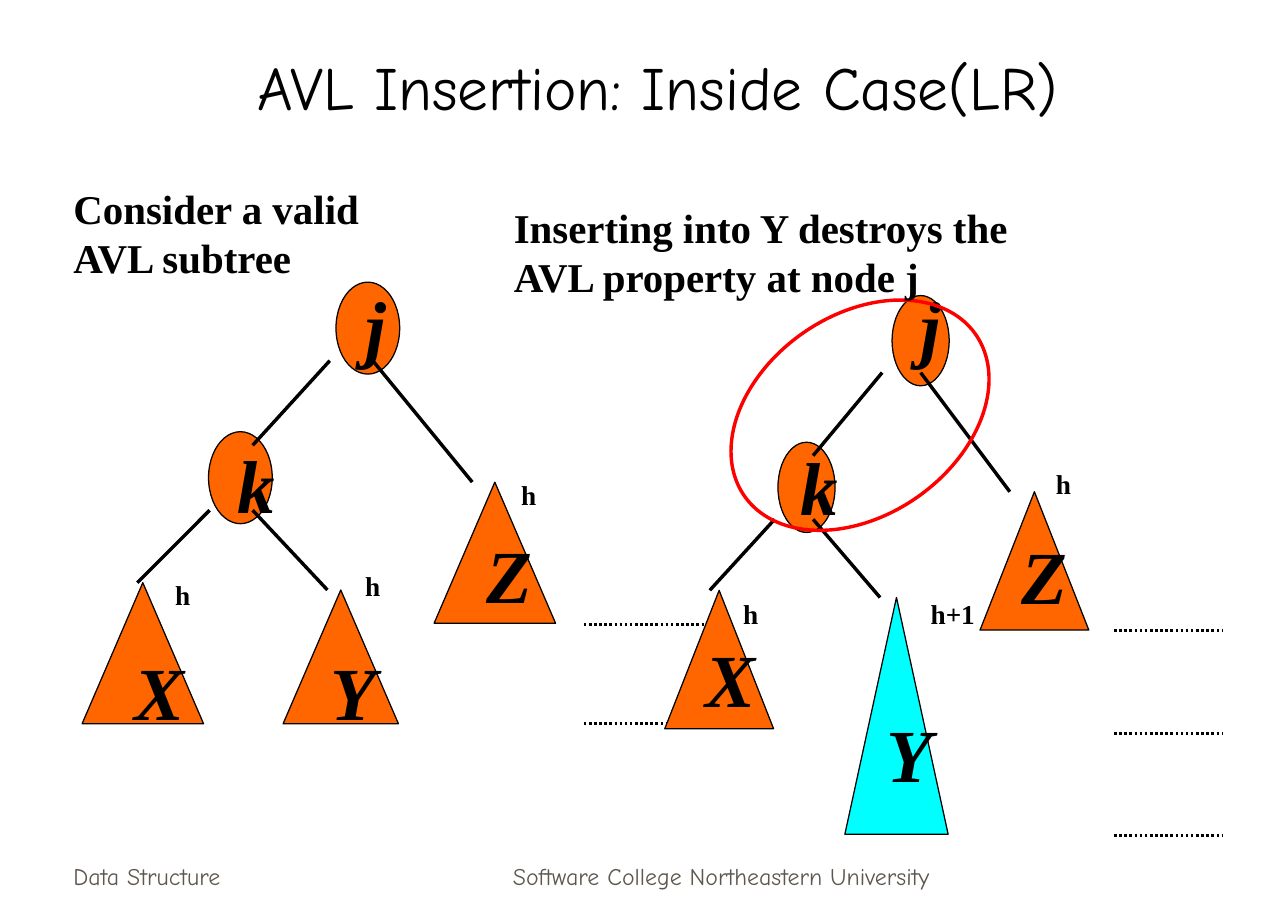
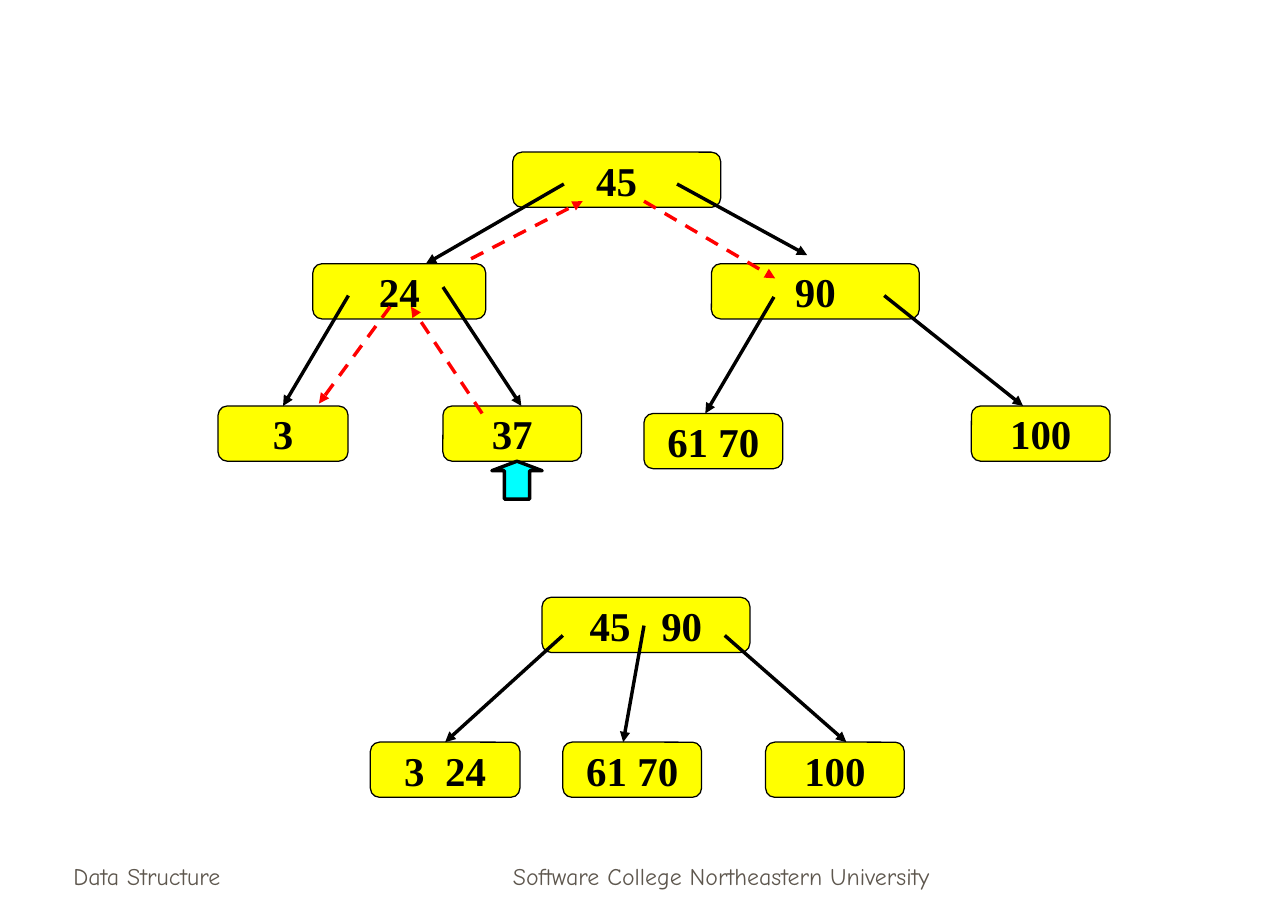
import pptx
import pptx.util
import pptx.dml.color
import pptx.enum.dml
import pptx.enum.shapes
import pptx.enum.text
import pptx.oxml
import pptx.oxml.ns

Pt = pptx.util.Pt
RGBColor = pptx.dml.color.RGBColor
SHAPE = pptx.enum.shapes.MSO_SHAPE
DASH = pptx.enum.dml.MSO_LINE
ALIGN = pptx.enum.text.PP_ALIGN
ANCHOR = pptx.enum.text.MSO_ANCHOR

BLACK = RGBColor(0x00, 0x00, 0x00)
ORANGE = RGBColor(0xFF, 0x66, 0x00)
CYAN = RGBColor(0x00, 0xFF, 0xFF)
YELLOW = RGBColor(0xFF, 0xFF, 0x00)
RED = RGBColor(0xFF, 0x00, 0x00)
GREY = RGBColor(0x5E, 0x57, 0x4E)
HEAD_FONT = "Comic Neue"
TEXT_FONT = "Times New Roman"

TREE_W, TREE_H = 278, 259
TREE_NODES = [(149, 0), (74.2, 87.8)]
TREE_LEAVES = [(0, 176.4, 71.3), (118, 180.7, 67.7), (206.6, 117.4, 71.3)]
TREE_EDGES = [
    ((145.4, 46.1), (100.1, 95.8)),
    ((74.9, 133.9), (32.4, 176.4)),
    ((100.1, 133.9), (144, 180.7)),
    ((170.6, 46.1), (229, 117.4)),
]
LEVEL_X, LEVEL_W = 294.5, 71.3
KEY_H = 32.4


def add_run(p, text, size, font=TEXT_FONT, color=BLACK, bold=True, italic=False):
    r = p.add_run()
    r.text = text
    r.font.size = Pt(size)
    r.font.name = font
    r.font.bold = bold
    r.font.italic = italic
    r.font.color.rgb = color
    return r


def add_text(s, box, lines, size, align=ALIGN.LEFT, anchor=ANCHOR.TOP, **style):
    tf = s.shapes.add_textbox(*map(Pt, box)).text_frame
    tf.word_wrap = True
    tf.vertical_anchor = anchor
    for i, line in enumerate(lines):
        p = tf.paragraphs[0] if i == 0 else tf.add_paragraph()
        p.alignment = align
        add_run(p, line, size, **style)


def add_figure(s, kind, box, fill=None, color=BLACK, width=0.75):
    sp = s.shapes.add_shape(kind, *map(Pt, box))
    sp.shadow.inherit = False
    if fill is None:
        sp.fill.background()
    else:
        sp.fill.solid()
        sp.fill.fore_color.rgb = fill
    sp.line.color.rgb = color
    sp.line.width = Pt(width)
    return sp


def add_line(s, start, end, color=BLACK, width=2, dash=None, arrow=False, target=None):
    c = s.shapes.add_connector(pptx.enum.shapes.MSO_CONNECTOR.STRAIGHT, *map(Pt, start + end))
    if target is not None:
        c.end_connect(target, 0)
    c.line.color.rgb = color
    c.line.width = Pt(width)
    if dash is not None:
        c.line.dash_style = dash
    if arrow:
        tail = pptx.oxml.parse_xml('<a:tailEnd %s type="triangle"/>' % pptx.oxml.ns.nsdecls("a"))
        c.line._get_or_add_ln().append(tail)
    c._element.spPr.append(pptx.oxml.parse_xml("<a:effectLst %s/>" % pptx.oxml.ns.nsdecls("a")))


def add_footers(s):
    style = dict(font=HEAD_FONT, color=GREY, bold=False, anchor=ANCHOR.BOTTOM)
    add_text(s, (36, 490.3, 157.7, 36), ["Data Structure"], 14, **style)
    add_text(s, (258.5, 490.3, 329.8, 36), ["Software College Northeastern University"], 14,
             align=ALIGN.CENTER, **style)


def add_title(s, text):
    title = s.shapes.title
    title.left, title.top, title.width, title.height = map(Pt, (66, 12, 640, 63.6))
    tf = title.text_frame
    tf.vertical_anchor = ANCHOR.BOTTOM
    p = tf.paragraphs[0]
    p.alignment = ALIGN.CENTER
    add_run(p, text, 36, font=HEAD_FONT, bold=False)


def avl_tree(s, box, letters, heights, levels, middle_leaf=(CYAN, 139), edge_shift=0):
    x, y, w, h = box
    sx, sy = w / TREE_W, h / TREE_H

    def at(px, py, shift=0):
        return x + px * sx + shift, y + py * sy

    for node in TREE_NODES:
        add_figure(s, SHAPE.OVAL, at(*node) + (37.4 * sx, 54 * sy), ORANGE)
    for i, (px, py, pw) in enumerate(TREE_LEAVES):
        fill, leaf_h = middle_leaf if i == 1 else (ORANGE, 82.8 * sy)
        add_figure(s, SHAPE.ISOSCELES_TRIANGLE, at(px, py) + (pw * sx, leaf_h), fill)
    for start, end in TREE_EDGES:
        add_line(s, at(*start, edge_shift), at(*end, edge_shift))
    for level in levels:
        left = x + LEVEL_X * sx
        add_line(s, (left, y + level), (left + LEVEL_W * sx, y + level),
                 width=1.5, dash=DASH.ROUND_DOT)
    for text, px, py in letters:
        add_text(s, (x + px, y + py, 50, 60), [text], 44, italic=True)
    for text, px, py in heights:
        add_text(s, (x + px, y + py, 44, 27), [text], 16)


def btree(s, box, keys, arrows, trail=()):
    x, y = box

    def at(point):
        return x + point[0], y + point[1]

    nodes = {}
    for text, px, py, w, gap in keys:
        sp = add_figure(s, SHAPE.ROUNDED_RECTANGLE, at((px, py)) + (w, KEY_H), YELLOW)
        nodes[text] = sp
        tf = sp.text_frame
        tf.word_wrap = False
        tf.vertical_anchor = ANCHOR.MIDDLE
        p = tf.paragraphs[0]
        p.alignment = ALIGN.CENTER
        first, space, second = text.partition(" ")
        add_run(p, first, 24)
        if space:
            r = add_run(p, space, 24)
            r._r.get_or_add_rPr().set("spc", str(gap * 100))
            add_run(p, second, 24)
    for start, end in arrows:
        if isinstance(end, str):
            add_line(s, at(start), at(start), arrow=True, target=nodes[end])
        else:
            add_line(s, at(start), at(end), arrow=True)
    for start, end in trail:
        add_line(s, at(start), at(end), color=RED, dash=DASH.DASH, arrow=True)


def insertion_slide(prs):
    s = prs.slides.add_slide(prs.slide_layouts[5])
    add_footers(s)
    add_title(s, "AVL Insertion: Inside Case(LR)")
    add_text(s, (36, 104, 200, 65), ["Consider a valid", "AVL subtree"], 24)
    avl_tree(
        s, (48.2, 165.6, TREE_W, TREE_H),
        [("j", 159, -5), ("k", 84.2, 88), ("X", 23.8, 209.5), ("Y", 139, 209.5), ("Z", 230.4, 141)],
        [("h", 250.6, 111.5), ("h", 159, 165), ("h", 47.5, 170)],
        [200.9, 259.2], middle_leaf=(ORANGE, 78.5))
    avl_tree(
        s, (390.2, 173.5, 249, 254),
        [("j", 143.3, -13), ("k", 72.7, 81.5), ("X", 16.6, 194.5), ("Y", 123.2, 238.5),
         ("Z", 202.4, 133.5)],
        [("h", 222.5, 97.5), ("h+1", 149, 173.5), ("h", 39, 173.5)],
        [196.6, 257, 316.8], edge_shift=-2.6)
    ring = add_figure(s, SHAPE.OVAL, (422, 185, 165.6, 117.4), color=RED, width=2)
    ring.rotation = 325
    add_text(s, (294.5, 115.5, 320, 65), ["Inserting into Y destroys the", "AVL property at node j"], 24)


def deletion_slide(prs):
    s = prs.slides.add_slide(prs.slide_layouts[6])
    add_footers(s)
    btree(
        s, (128, 89.3),
        [("45", 173, 0, 122, 0), ("24", 55.6, 65.5, 101.5, 0), ("90", 289.6, 65.5, 122, 0),
         ("3", 0, 149, 76.3, 0), ("37", 132, 149, 81.4, 0), ("61 70", 250, 153.4, 81.4, 0),
         ("100", 442.2, 149, 81.4, 0)],
        [((203, 18.7), (122, 65.5)), ((269.4, 18.7), (345.8, 60.5)), ((76.5, 84.2), "3"),
         ((132, 79.2), (178, 149)), ((326.3, 85), (286, 153.4)), ((391, 84.2), (472.5, 149))],
        [((155, 153.4), (113.2, 90.7)), ((101, 90.7), (59.2, 147.6)),
         ((148.5, 62.6), (214, 28.8)), ((250, 28.8), (327, 74.1))])
    add_figure(s, SHAPE.UP_ARROW, (288.7, 270.7, 29.5, 22.3), CYAN, width=2).adjustments[1] = 0.25
    btree(
        s, (217.4, 350.6),
        [("45 90", 100.8, 0, 122, 12), ("3 24", 0, 85, 87.8, 6), ("61 70", 113, 85, 81.4, 0),
         ("100", 232, 85, 81.4, 0)],
        [((113, 22.4), "3 24"), ((208, 22.4), (279.4, 85)), ((160.6, 16.6), (148.4, 85))])


def main():
    prs = pptx.Presentation()
    prs.slide_width, prs.slide_height = Pt(756), Pt(540)
    insertion_slide(prs)
    deletion_slide(prs)
    prs.save("out.pptx")


if __name__ == "__main__":
    main()
